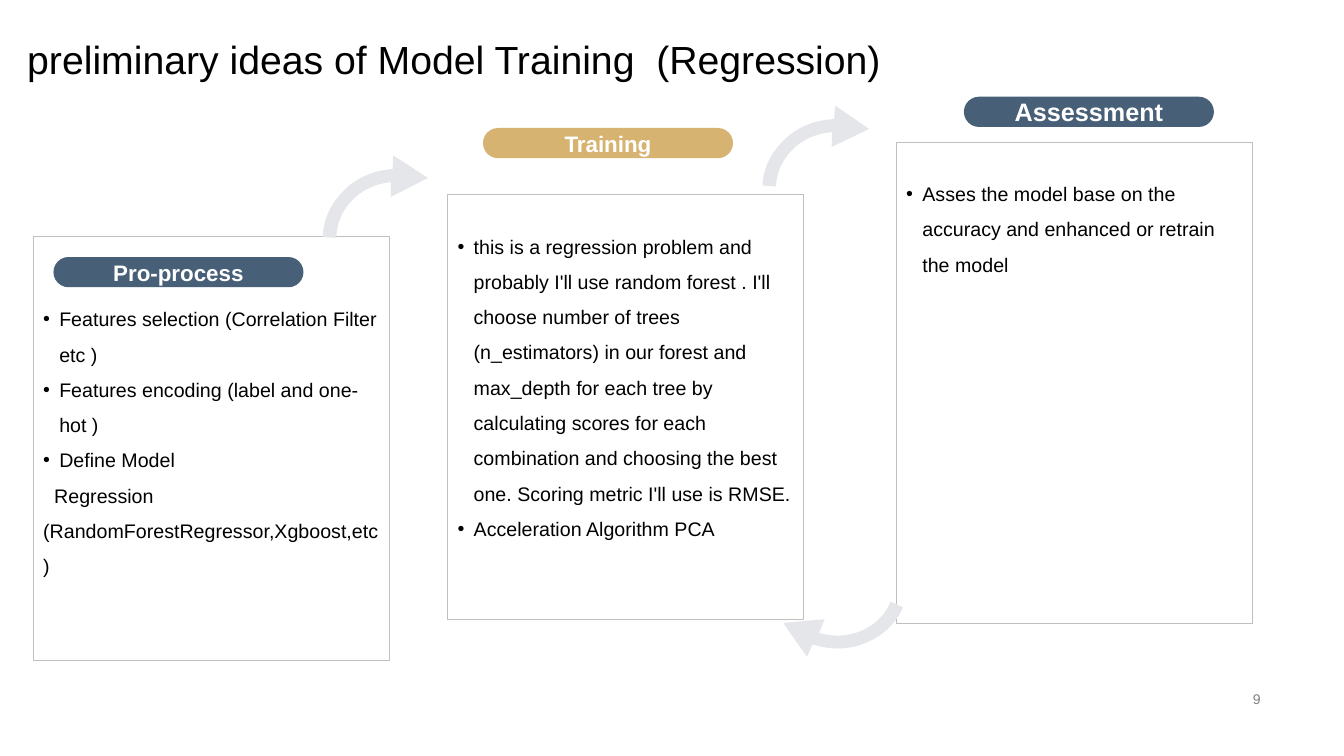
from pptx import Presentation
from pptx.dml.color import RGBColor
from pptx.enum.shapes import MSO_SHAPE
from pptx.enum.text import MSO_ANCHOR, MSO_AUTO_SIZE, PP_ALIGN
from pptx.oxml.ns import qn
from pptx.util import Inches, Pt
from lxml.etree import SubElement

BLACK, WHITE, GREY, BORDER = "000000", "FFFFFF", "808080", "BFBFBF"
NAVY, GOLD, ARROW = "475F77", "D7B371", "E4E6EA"
CARD_WIDTH, PILL_WIDTH, PILL_HEIGHT = 3.53, 2.48, 0.3
ARROW_WIDTH, ARROW_HEIGHT = 0.89, 0.97

# Outline of the bent arrow, in inches: one point is a line, three are a curve
ARROW_START = (0.7, 0.06)
ARROW_STEPS = [
    [(0.5, 0)],
    [(0.53, 0.13)],
    [(0.37, 0.19), (0.23, 0.29), (0.14, 0.44)],
    [(0.04, 0.6), (0, 0.79), (0.05, 0.97)],
    [(0.18, 0.94)],
    [(0.1, 0.65), (0.28, 0.36), (0.55, 0.26)],
    [(0.59, 0.4)],
    [(0.74, 0.26)],
    [(0.89, 0.12)],
    [ARROW_START],
]


def color(value):
    return RGBColor.from_string(value)


class SlideBuilder:
    font = "Arial"

    def __init__(self, deck):
        self.page = deck.slides.add_slide(deck.slide_layouts[5])

    def place(self, shape, left, top, width, height):
        shape.left, shape.top = Inches(left), Inches(top)
        shape.width, shape.height = Inches(width), Inches(height)

    def span(self, para, text, size, ink, bold=False):
        span = para.add_run()
        span.text = text
        span.font.name, span.font.size, span.font.bold = self.font, Pt(size), bold
        span.font.color.rgb = color(ink)

    def title(self, text):
        box = self.page.shapes.title
        self.place(box, 0.17, -0.25, 11.87, 1.12)
        frame = box.text_frame
        frame.vertical_anchor = MSO_ANCHOR.BOTTOM
        frame.auto_size = MSO_AUTO_SIZE.NONE
        para = frame.paragraphs[0]
        para.alignment, para.line_spacing = PP_ALIGN.LEFT, 0.9
        self.span(para, text, 28, BLACK)

    def page_number(self, text):
        box = self.page.shapes.add_textbox(
            Inches(9.42), Inches(6.82), Inches(3.18), Inches(0.23))
        frame = box.text_frame
        frame.word_wrap = True
        frame.vertical_anchor = MSO_ANCHOR.MIDDLE
        para = frame.paragraphs[0]
        para.alignment = PP_ALIGN.RIGHT
        self.span(para, text, 10, GREY)

    def shape(self, kind, left, top, width, height):
        shape = self.page.shapes.add_shape(
            kind, Inches(left), Inches(top), Inches(width), Inches(height))
        shape.shadow.inherit = False
        shape.text_frame.word_wrap = True
        return shape

    def card(self, left, top, height, inset, bullets, closing=None):
        box = self.shape(MSO_SHAPE.RECTANGLE, left, top, CARD_WIDTH, height)
        box.fill.background()
        box.line.color.rgb = color(BORDER)
        box.line.width = Pt(0.25)
        frame = box.text_frame
        frame.vertical_anchor = MSO_ANCHOR.TOP
        frame.margin_top = Inches(inset)
        lines = bullets + ([closing] if closing else [])
        for index, text in enumerate(lines):
            para = frame.paragraphs[0] if index == 0 else frame.add_paragraph()
            para.alignment, para.line_spacing = PP_ALIGN.LEFT, 1.5
            properties = para._p.get_or_add_pPr()
            if index < len(bullets):
                properties.set("marL", str(Inches(0.16)))
                properties.set("indent", str(Inches(-0.16)))
                SubElement(properties, qn("a:buFont")).set("typeface", self.font)
                SubElement(properties, qn("a:buChar")).set("char", "•")
            else:
                properties.set("indent", str(Inches(0.11)))
            self.span(para, text, 14, BLACK)

    def pill(self, left, top, fill, text, size):
        box = self.shape(MSO_SHAPE.ROUNDED_RECTANGLE, left, top, PILL_WIDTH, PILL_HEIGHT)
        box.adjustments[0] = 0.5
        box.fill.solid()
        box.fill.fore_color.rgb = color(fill)
        box.line.fill.background()
        box.text_frame.vertical_anchor = MSO_ANCHOR.MIDDLE
        para = box.text_frame.paragraphs[0]
        para.alignment = PP_ALIGN.CENTER
        self.span(para, text, size, WHITE, bold=True)

    def bent_arrow(self, left, top, rotation):
        ends = [(Inches(step[-1][0]), Inches(step[-1][1])) for step in ARROW_STEPS]
        builder = self.page.shapes.build_freeform(*ends[-1])
        builder.add_line_segments(ends, close=True)
        arrow = builder.convert_to_shape()
        self.bend(arrow)
        self.place(arrow, left, top, ARROW_WIDTH, ARROW_HEIGHT)
        arrow.rotation = rotation
        arrow.shadow.inherit = False
        arrow.fill.solid()
        arrow.fill.fore_color.rgb = color(ARROW)
        arrow.line.fill.background()

    def bend(self, arrow):
        """Redraw the outline with true curves, in the full arrow frame."""
        outline = next(arrow._element.iter(qn("a:path")))
        for command in list(outline):
            outline.remove(command)
        outline.set("w", str(Inches(ARROW_WIDTH)))
        outline.set("h", str(Inches(ARROW_HEIGHT)))
        commands = [("a:moveTo", [ARROW_START])]
        commands += [("a:lnTo" if len(step) == 1 else "a:cubicBezTo", step)
                     for step in ARROW_STEPS]
        for tag, points in commands:
            command = SubElement(outline, qn(tag))
            for x, y in points:
                point = SubElement(command, qn("a:pt"))
                point.set("x", str(Inches(x)))
                point.set("y", str(Inches(y)))
        SubElement(outline, qn("a:close"))


def main():
    deck = Presentation()
    deck.slide_width, deck.slide_height = Inches(13.33), Inches(7.5)
    slide = SlideBuilder(deck)

    # Title and page number
    slide.title("preliminary ideas of Model Training  (Regression)")
    slide.page_number("9")

    # Preparation
    slide.card(0.33, 2.34, 4.21, 0.59, [
        "Features selection (Correlation Filter etc )",
        "Features encoding (label and one-hot )",
        "Define Model",
    ], closing="Regression (RandomForestRegressor,Xgboost,etc )")
    slide.pill(0.53, 2.55, NAVY, "Pro-process", 16)

    # Training
    slide.card(4.44, 1.93, 4.21, 0.28, [
        "this is a regression problem and probably I'll use random forest . "
        "I'll choose number of trees (n_estimators) in our forest and max_depth "
        "for each tree by calculating scores for each combination and choosing "
        "the best one. Scoring metric I'll use is RMSE.",
        "Acceleration Algorithm PCA",
    ])
    slide.pill(4.79, 1.27, GOLD, "Training", 16)

    # Assessment
    slide.card(8.89, 1.41, 4.77, 0.28, [
        "Asses the model base on the accuracy and enhanced or retrain the model",
    ])
    slide.pill(9.56, 0.96, NAVY, "Assessment", 18)

    # Arrows between the stages
    for left, top, rotation in [(3.27, 1.51, 15.9), (7.64, 1.01, 17.4), (7.9, 5.68, 217.9)]:
        slide.bent_arrow(left, top, rotation)

    deck.save("out.pptx")


if __name__ == "__main__":
    main()
